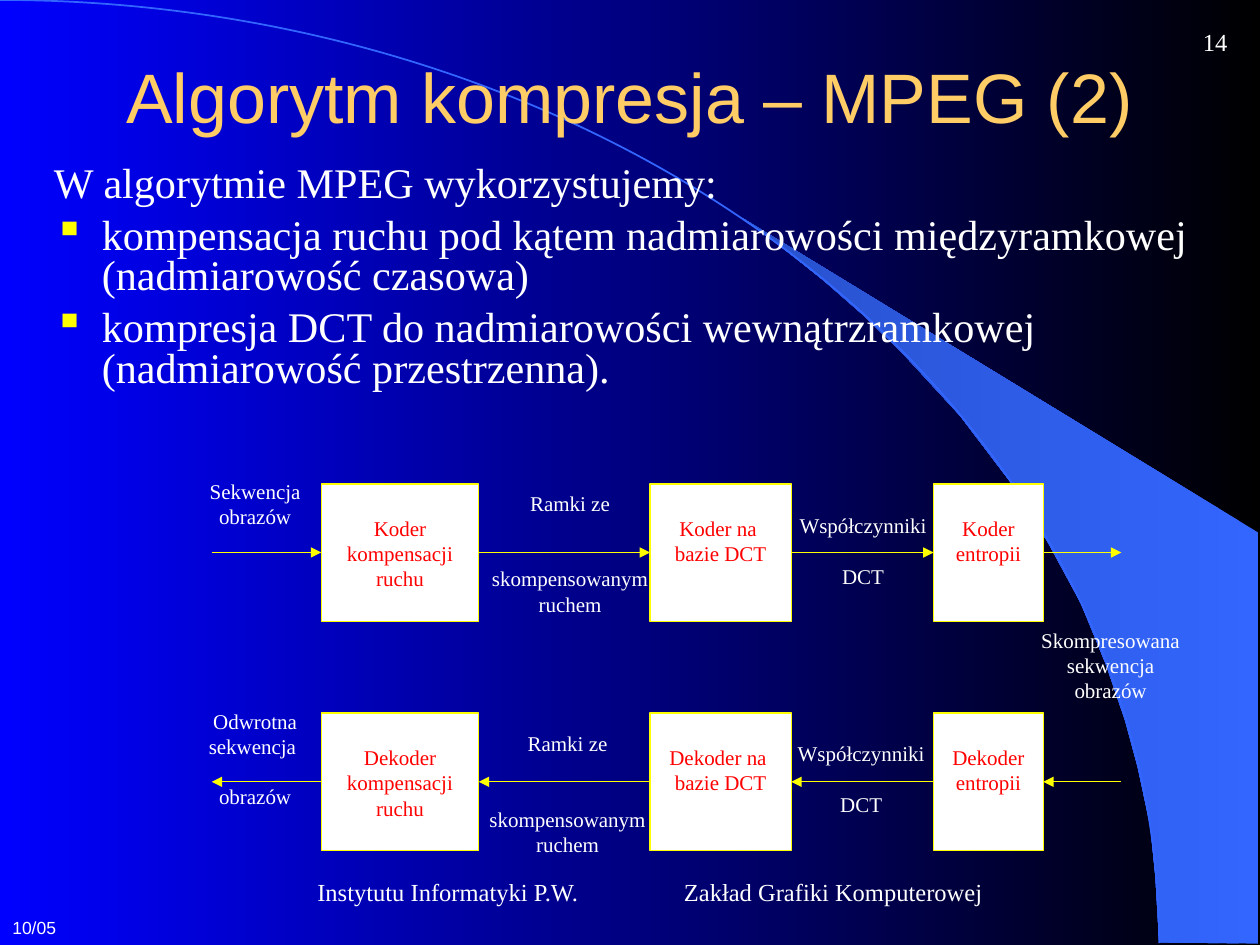
"""Build the slide on the MPEG compression algorithm with its coder and decoder chains."""
from lxml.etree import SubElement
from pptx import Presentation
from pptx.dml.color import RGBColor
from pptx.enum.shapes import MSO_CONNECTOR, MSO_SHAPE
from pptx.enum.text import MSO_ANCHOR as ANCHOR, MSO_AUTO_SIZE, PP_ALIGN as ALIGN
from pptx.oxml.ns import qn
from pptx.util import Inches, Pt

SERIF, SANS = "Times New Roman", "Arial"
WHITE, YELLOW, RED, GOLD = "FFFFFF", "FFFF00", "FF0000", "FFCC66"
BLACK, BLUE, SKY, DEEP_SKY = "000000", "0000FF", "3366FF", "2851CB"
LINE = 14.5

TITLE = "Algorytm kompresja – MPEG (2)"
INTRO = "W algorytmie MPEG wykorzystujemy:"
BULLETS = [
    "kompensacja ruchu pod kątem nadmiarowości międzyramkowej (nadmiarowość czasowa)",
    "kompresja DCT do nadmiarowości wewnątrzramkowej (nadmiarowość przestrzenna).",
]
SAIL = [
    (9.2, 7.48), (9.99, 7.49), (9.99, 4.23), (5.89, 1.73), (6.24, 1.99), (6.53, 2.22),
    (6.85, 2.5), (7.16, 2.8), (7.62, 3.3), (8.03, 3.84), (8.32, 4.31), (8.58, 4.79),
    (8.78, 5.28), (8.93, 5.72), (9.03, 6.09), (9.13, 6.56), (9.17, 6.96),
]
STAGE_COLUMNS = [(2.55, 1.25), (5.16, 1.12), (7.41, 0.87)]
STAGE_HEIGHT = 1.09
CHAIN_LEFT, CHAIN_RIGHT = 1.68, 8.9
CHAINS = [
    (3.84, True, [["Koder kompensacji ruchu"], ["Koder na ", "bazie DCT"], ["Koder", "entropii"]]),
    (5.66, False, [["Dekoder kompensacji ruchu"], ["Dekoder na ", "bazie DCT"], ["Dekoder", "entropii"]]),
]
FRAMES = ["Ramki ze", "skompensowanym ruchem"]
COEFFICIENTS = ["Współczynniki", "DCT"]
SIGNALS = [
    ((1.5, 3.75, 1.05, 0.91), ["Sekwencja obrazów"], 0),
    ((3.76, 3.84, 1.53, 1.45), FRAMES, 2),
    ((6.2, 4.02, 1.3, 1.09), COEFFICIENTS, 1),
    ((8.13, 4.93, 1.37, 0.73), ["Skompresowana sekwencja obrazów"], 0),
    ((1.5, 5.57, 1.05, 1.09), ["Odwrotna sekwencja ", "obrazów"], 1),
    ((3.67, 5.75, 1.67, 1.33), FRAMES, 2),
    ((6.17, 5.83, 1.33, 1.17), COEFFICIENTS, 1),
]
MARGINALS = [
    ((0, 7.23, 0.67, 0.27), "10/05", 10, SANS, ALIGN.LEFT, ANCHOR.TOP),
    ((5.33, 6.92, 3.94, 0.31), "Zakład Grafiki Komputerowej", 14, SERIF, ALIGN.LEFT, ANCHOR.MIDDLE),
    ((8.92, 0.08, 0.92, 0.5), "14", 14, SERIF, ALIGN.RIGHT, ANCHOR.MIDDLE),
    ((0.75, 6.92, 3.94, 0.31), "Instytutu Informatyki P.W.", 14, SERIF, ALIGN.RIGHT, ANCHOR.MIDDLE),
]


def rgb(value):
    return RGBColor.from_string(value)


def place(box):
    return [Inches(length) for length in box]


def paint_gradient(fill, colours):
    fill.gradient()
    fill.gradient_angle = 180
    for stop, colour in zip(fill.gradient_stops, colours):
        stop.color.rgb = rgb(colour)


def stroke(shape, colour, width):
    shape.line.color.rgb = rgb(colour)
    shape.line.width = Pt(width)


def write(shape, texts, size=12, font=SERIF, colour=WHITE, align=ALIGN.CENTER,
          anchor=ANCHOR.TOP, gap=0, top=0.05):
    frame = shape.text_frame
    frame.word_wrap = True
    frame.auto_size = MSO_AUTO_SIZE.NONE
    frame.vertical_anchor = anchor
    frame.margin_left = frame.margin_right = Inches(0.1)
    frame.margin_top, frame.margin_bottom = Inches(top), Inches(0.05)
    for index, text in enumerate(texts):
        paragraph = frame.add_paragraph() if index else frame.paragraphs[0]
        paragraph.alignment = align
        if index and gap:
            paragraph.space_before = Pt(gap)
        run = paragraph.add_run()
        run.text = text
        run.font.size, run.font.name = Pt(size), font
        run.font.color.rgb = rgb(colour)
    return frame


def add_backdrop(slide):
    paint_gradient(slide.background.fill, (BLACK, BLUE))
    start, *rest = [place(point) for point in SAIL]
    outline = slide.shapes.build_freeform(*start)
    outline.add_line_segments(rest, close=True)
    sail = outline.convert_to_shape()
    paint_gradient(sail.fill, (SKY, DEEP_SKY))
    sail.line.fill.background()
    arc = slide.shapes.add_shape(MSO_SHAPE.ARC, *place((-9.2, 0, 18.4, 14.97)))
    arc.fill.background()
    stroke(arc, SKY, 1)
    for shape in (sail, arc):
        shape.shadow.inherit = False


def add_title(slide):
    title = slide.shapes.title
    title.element.getparent().append(title.element)
    title.left, title.top, title.width, title.height = place((0.37, 0.42, 9.25, 0.67))
    write(title, [TITLE], 40, SANS, GOLD, anchor=ANCHOR.MIDDLE)


def add_body(slide):
    body = slide.shapes.add_textbox(*place((0.33, 1.25, 9.33, 2)))
    frame = write(body, [INTRO, *BULLETS], 24.1, align=ALIGN.LEFT, gap=6.5, top=0.07)
    for index, paragraph in enumerate(frame.paragraphs):
        paragraph.line_spacing = 0.8
        properties = paragraph._p.get_or_add_pPr()
        properties.set("marL", str(Inches(0.38)))
        properties.set("indent", str(-Inches(0.38)))
        if index:
            bullet_colour = SubElement(properties, qn("a:buClr"))
            SubElement(bullet_colour, qn("a:srgbClr"), val=YELLOW)
            SubElement(properties, qn("a:buChar"), char="▪")


def add_stage(slide, box, texts):
    stage = slide.shapes.add_shape(MSO_SHAPE.RECTANGLE, *place(box))
    stage.shadow.inherit = False
    stage.fill.solid()
    stage.fill.fore_color.rgb = rgb(WHITE)
    stroke(stage, YELLOW, 0.75)
    write(stage, texts, colour=RED, top=0.25)
    return stage


def add_arrow(slide, y, source, target, forward):
    (x1, source_stage), (x2, target_stage) = source, target
    arrow = slide.shapes.add_connector(MSO_CONNECTOR.STRAIGHT, *place((x1, y, x2, y)))
    if source_stage is not None:
        arrow.begin_connect(source_stage, 3 if forward else 1)
    if target_stage is not None:
        arrow.end_connect(target_stage, 1 if forward else 3)
    stroke(arrow, YELLOW, 0.75)
    properties = arrow.element.spPr
    SubElement(properties.find(qn("a:ln")), qn("a:tailEnd"), type="triangle")
    SubElement(properties, qn("a:effectLst"))


def add_chain(slide, top, forward, labels):
    ends = [(CHAIN_LEFT, None)]
    for (left, width), texts in zip(STAGE_COLUMNS, labels):
        stage = add_stage(slide, (left, top, width, STAGE_HEIGHT), texts)
        ends += [(left, stage), (left + width, stage)]
    ends.append((CHAIN_RIGHT, None))
    for left_end, right_end in zip(ends[::2], ends[1::2]):
        source, target = (left_end, right_end) if forward else (right_end, left_end)
        add_arrow(slide, top + STAGE_HEIGHT / 2, source, target, forward)


def main():
    deck = Presentation()
    deck.slide_width, deck.slide_height = Inches(10), Inches(7.5)
    slide = deck.slides.add_slide(deck.slide_layouts[5])
    add_backdrop(slide)
    add_title(slide)
    add_body(slide)
    for chain in CHAINS:
        add_chain(slide, *chain)
    for box, texts, blank_lines in SIGNALS:
        write(slide.shapes.add_textbox(*place(box)), texts, gap=blank_lines * LINE)
    for box, text, size, font, align, anchor in MARGINALS:
        write(slide.shapes.add_textbox(*place(box)), [text], size, font, align=align, anchor=anchor)
    deck.save("out.pptx")


if __name__ == "__main__":
    main()
